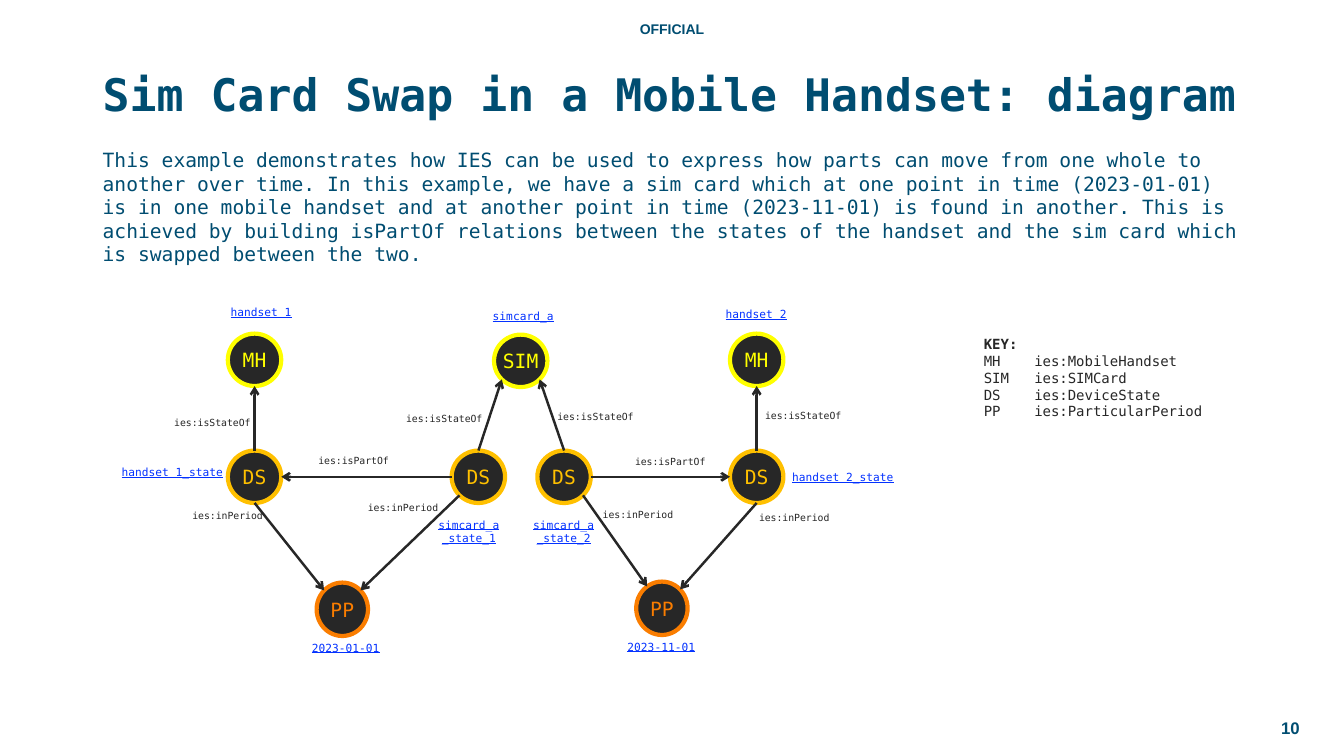
"""Builds the slide showing a sim card swapped between two mobile handsets."""
from math import cos, radians, sin

from lxml import etree
from pptx import Presentation
from pptx.dml.color import RGBColor
from pptx.enum.shapes import MSO_CONNECTOR, MSO_SHAPE
from pptx.enum.text import MSO_ANCHOR, PP_ALIGN
from pptx.oxml.ns import qn
from pptx.util import Inches, Pt

LEFT, CENTER, RIGHT = PP_ALIGN.LEFT, PP_ALIGN.CENTER, PP_ALIGN.RIGHT
TOP, MIDDLE = MSO_ANCHOR.TOP, MSO_ANCHOR.MIDDLE
ELLIPSE = MSO_SHAPE.OVAL
STRAIGHT = MSO_CONNECTOR.STRAIGHT

TEAL = RGBColor(0x00, 0x4D, 0x71)
INK = RGBColor(0x27, 0x27, 0x27)
LINK_BLUE = RGBColor(0x04, 0x32, 0xFF)
YELLOW = RGBColor(0xFF, 0xFF, 0x00)
AMBER = RGBColor(0xFF, 0xC0, 0x00)
ORANGE = RGBColor(0xFA, 0x7D, 0x00)
MONO = "DejaVu Sans Mono"

KINDS = {
    "MH": (YELLOW, 0.53, 0.52),
    "SIM": (YELLOW, 0.53, 0.52),
    "DS": (AMBER, 0.53, 0.52),
    "PP": (ORANGE, 0.51, 0.53),
}
NODES = {
    "handset 1": ("MH", 2.26, 3.31),
    "simcard": ("SIM", 4.9, 3.32),
    "handset 2": ("MH", 7.24, 3.31),
    "handset 1 state": ("DS", 2.26, 4.47),
    "simcard state 1": ("DS", 4.48, 4.47),
    "simcard state 2": ("DS", 5.33, 4.47),
    "handset 2 state": ("DS", 7.24, 4.47),
    "january": ("PP", 3.14, 5.78),
    "november": ("PP", 6.31, 5.77),
}
RELATIONS = [
    ("handset 1 state", 270, "handset 1", 90),
    ("simcard state 1", 270, "simcard", 135),
    ("simcard state 2", 270, "simcard", 45),
    ("handset 2 state", 270, "handset 2", 90),
    ("handset 1 state", 90, "january", 225),
    ("simcard state 1", 135, "january", 315),
    ("simcard state 2", 45, "november", 235),
    ("handset 2 state", 90, "november", 315),
    ("simcard state 1", 180, "handset 1 state", 0),
    ("simcard state 2", 0, "handset 2 state", 180),
]
RELATION_LABELS = {
    "ies:isStateOf": [(1.63, 4.08), (3.93, 4.04), (5.43, 4.03), (7.49, 4.02)],
    "ies:isPartOf": [(3.06, 4.46), (6.2, 4.47)],
    "ies:inPeriod": [(1.81, 5.01), (3.55, 4.93), (5.88, 5), (7.43, 5.03)],
}
NODE_LABELS = [
    ("handset 1", 1.96, 2.98, 1.26, 0.24),
    ("simcard_a", 4.56, 3.02, 1.26, 0.24),
    ("handset 2", 6.87, 3, 1.26, 0.24),
    ("handset 1_state", 1.08, 4.57, 1.26, 0.24),
    ("handset 2_state", 7.73, 4.62, 1.26, 0.24),
    ("simcard_a_state_1", 4.24, 5.09, 0.82, 0.37),
    ("simcard_a_state_2", 5.18, 5.09, 0.82, 0.37),
    ("2023-01-01", 2.8, 6.31, 1.26, 0.24),
    ("2023-11-01", 5.93, 6.3, 1.26, 0.24),
]
KEY = [
    "KEY:",
    "MH\ties:MobileHandset",
    "SIM\ties:SIMCard",
    "DS\ties:DeviceState",
    "PP\ties:ParticularPeriod",
]
INTRO = (
    "This example demonstrates how IES can be used to express how parts can move "
    "from one whole to another over time. In this example, we have a sim card which "
    "at one point in time (2023-01-01) is in one mobile handset and at another point "
    "in time (2023-11-01) is found in another. This is achieved by building isPartOf "
    "relations between the states of the handset and the sim card which is swapped "
    "between the two."
)


def write(frame, text, size=14, color=INK, font=MONO, bold=False,
          underline=False, align=LEFT, anchor=TOP):
    """Fill a text frame, one paragraph per line of text."""
    frame.word_wrap = True
    frame.vertical_anchor = anchor
    for index, line in enumerate(text.split("\n")):
        paragraph = frame.add_paragraph() if index else frame.paragraphs[0]
        paragraph.alignment = align
        run = paragraph.add_run()
        run.text = line
        run.font.size = Pt(size)
        run.font.name = font
        run.font.bold = bold
        run.font.underline = underline
        run.font.color.rgb = color


def add_text(slide, text, left, top, width, height, **style):
    """Add a text box and return its frame."""
    box = slide.shapes.add_textbox(Inches(left), Inches(top), Inches(width), Inches(height))
    write(box.text_frame, text, **style)
    return box.text_frame


def add_node(slide, kind, left, top):
    """Add a ringed circle carrying its class abbreviation."""
    color, width, height = KINDS[kind]
    node = slide.shapes.add_shape(
        ELLIPSE, Inches(left), Inches(top), Inches(width), Inches(height))
    node.shadow.inherit = False
    node.fill.solid()
    node.fill.fore_color.rgb = INK
    node.line.color.rgb = color
    node.line.width = Pt(3)
    node.text_frame.margin_left = node.text_frame.margin_right = 0
    write(node.text_frame, kind, color=color, align=CENTER, anchor=MIDDLE)


def rim_point(name, angle):
    """Return the point on a node's rim, in degrees clockwise from the right."""
    kind, left, top = NODES[name]
    width, height = KINDS[kind][1:]
    x = left + width / 2 * (1 + cos(radians(angle)))
    y = top + height / 2 * (1 + sin(radians(angle)))
    return Inches(x), Inches(y)


def add_relation(slide, source, source_angle, target, target_angle):
    """Add an arrow from one node's rim to another's."""
    arrow = slide.shapes.add_connector(
        STRAIGHT, *rim_point(source, source_angle), *rim_point(target, target_angle))
    arrow.line.color.rgb = INK
    arrow.line.width = Pt(1.75)
    etree.SubElement(arrow.line._get_or_add_ln(), qn("a:tailEnd"), type="arrow")
    etree.SubElement(arrow._element.spPr, qn("a:effectLst"))


def add_key(slide):
    """Add the key with its definitions aligned on a tab stop."""
    frame = add_text(slide, "\n".join(KEY), 9.66, 3.28, 3.27, 0.94, size=10)
    frame.paragraphs[0].runs[0].font.bold = True
    for entry in frame.paragraphs[1:]:
        tabs = etree.SubElement(entry._p.get_or_add_pPr(), qn("a:tabLst"))
        etree.SubElement(tabs, qn("a:tab"), pos=str(Inches(0.5)), algn="l")


def main():
    """Build and save the slide."""
    deck = Presentation()
    deck.slide_width, deck.slide_height = Inches(13.33), Inches(7.5)
    slide = deck.slides.add_slide(deck.slide_layouts[6])

    add_text(slide, "OFFICIAL", 4.06, 0.15, 5.21, 0.27, size=10, color=TEAL,
             font="Arial", bold=True, align=CENTER)
    add_text(slide, "10", 12.37, 7.02, 0.62, 0.4, size=12, color=TEAL,
             font="Arial", bold=True, align=RIGHT, anchor=MIDDLE)
    add_text(slide, "Sim Card Swap in a Mobile Handset: diagram", 0.92, 0.54, 11.63, 0.77,
             size=32, color=TEAL, bold=True, anchor=MIDDLE)
    add_text(slide, INTRO, 0.92, 1.42, 11.5, 1.12, color=TEAL)

    for node in NODES.values():
        add_node(slide, *node)
    for relation in RELATIONS:
        add_relation(slide, *relation)
    for label, places in RELATION_LABELS.items():
        for left, top in places:
            add_text(slide, label, left, top, 1.16, 0.22, size=7)
    for label in NODE_LABELS:
        add_text(slide, *label, size=8, color=LINK_BLUE, underline=True, align=CENTER)
    add_key(slide)

    deck.save("out.pptx")


if __name__ == "__main__":
    main()
